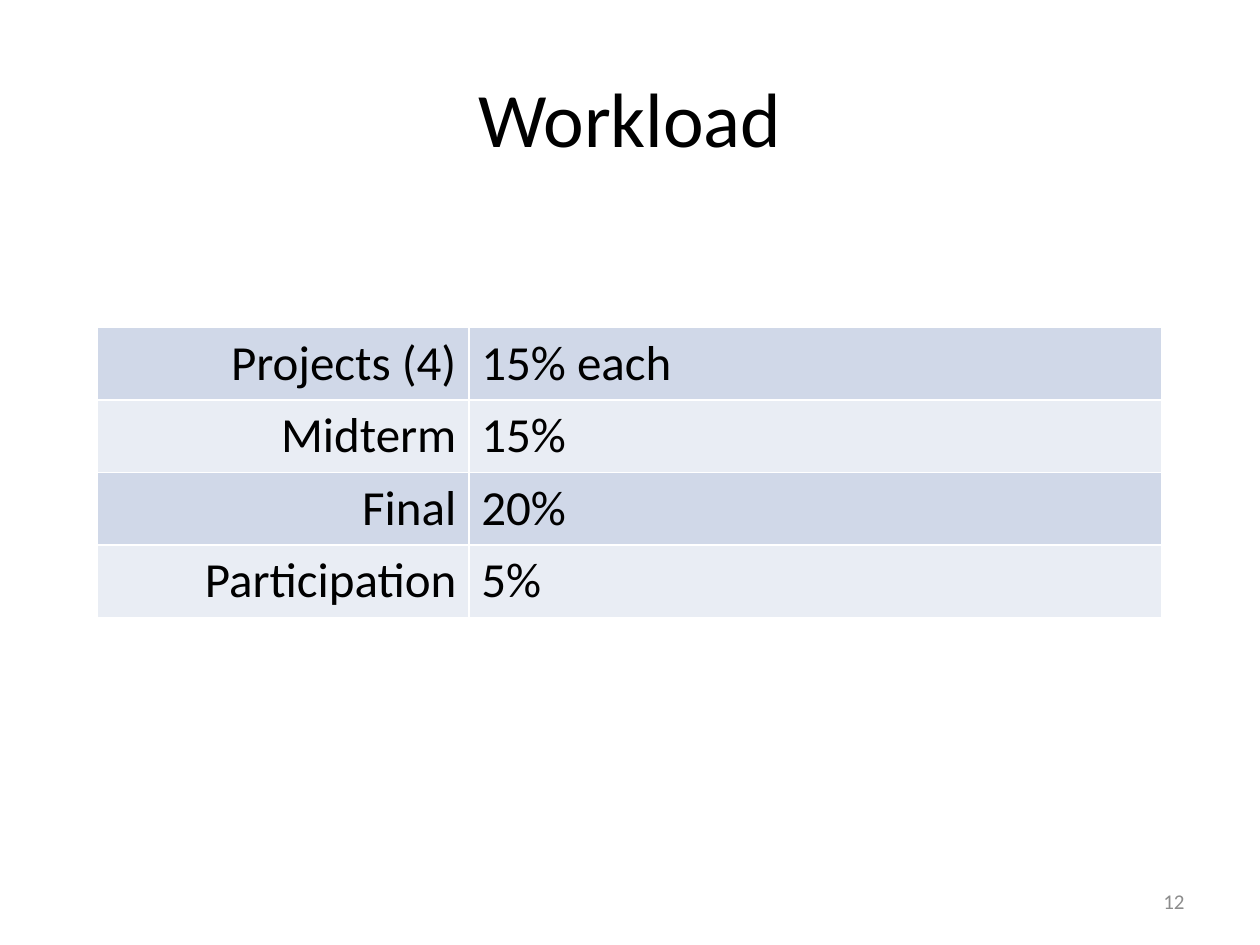
import pptx
import pptx.dml.color
import pptx.enum.text
from pptx.util import Pt

RGBColor = pptx.dml.color.RGBColor
ALIGN = pptx.enum.text.PP_ALIGN
MIDDLE = pptx.enum.text.MSO_ANCHOR.MIDDLE

BLACK = RGBColor(0x00, 0x00, 0x00)
GRAY = RGBColor(0x8C, 0x8C, 0x8C)
BANDS = (RGBColor(0xD0, 0xD8, 0xE8), RGBColor(0xE9, 0xED, 0xF4))

WORKLOAD = (
    ("Projects (4)", "15% each"),
    ("Midterm", "15%"),
    ("Final", "20%"),
    ("Participation", "5%"),
)
COLUMN_WIDTHS = (212.4, 396)
COLUMN_ALIGNS = (ALIGN.RIGHT, ALIGN.LEFT)
ROW_HEIGHT = 41.4


def write_text(tf, text, size, color, align):
    p = tf.paragraphs[0]
    p.alignment = align
    r = p.add_run()
    r.text = text
    for name, value in {"name": "Calibri", "size": Pt(size)}.items():
        setattr(r.font, name, value)
    r.font.color.rgb = color


def add_text(s, box, text, size, color, align):
    tf = s.shapes.add_textbox(*map(Pt, box)).text_frame
    for name, value in {"word_wrap": True, "vertical_anchor": MIDDLE}.items():
        setattr(tf, name, value)
    write_text(tf, text, size, color, align)


def add_workload_table(s, left, top):
    width, height = sum(COLUMN_WIDTHS), ROW_HEIGHT * len(WORKLOAD)
    table = s.shapes.add_table(
        len(WORKLOAD), len(COLUMN_WIDTHS), Pt(left), Pt(top), Pt(width), Pt(height)
    ).table
    table.first_row = False
    for column, column_width in zip(table.columns, COLUMN_WIDTHS):
        column.width = Pt(column_width)
    for i, texts in enumerate(WORKLOAD):
        table.rows[i].height = Pt(ROW_HEIGHT)
        for j, text in enumerate(texts):
            cell = table.cell(i, j)
            cell.fill.solid()
            cell.fill.fore_color.rgb = BANDS[i % 2]
            write_text(cell.text_frame, text, 28, BLACK, COLUMN_ALIGNS[j])


def main():
    prs = pptx.Presentation()
    prs.slide_width, prs.slide_height = Pt(720), Pt(540)
    s = prs.slides.add_slide(prs.slide_layouts[6])
    add_text(s, (36, 21.6, 648, 90), "Workload", 44, BLACK, ALIGN.CENTER)
    add_workload_table(s, 55.5, 187.2)
    add_text(s, (516, 500.5, 168, 28.8), "12", 12, GRAY, ALIGN.RIGHT)
    prs.save("out.pptx")


if __name__ == "__main__":
    main()
